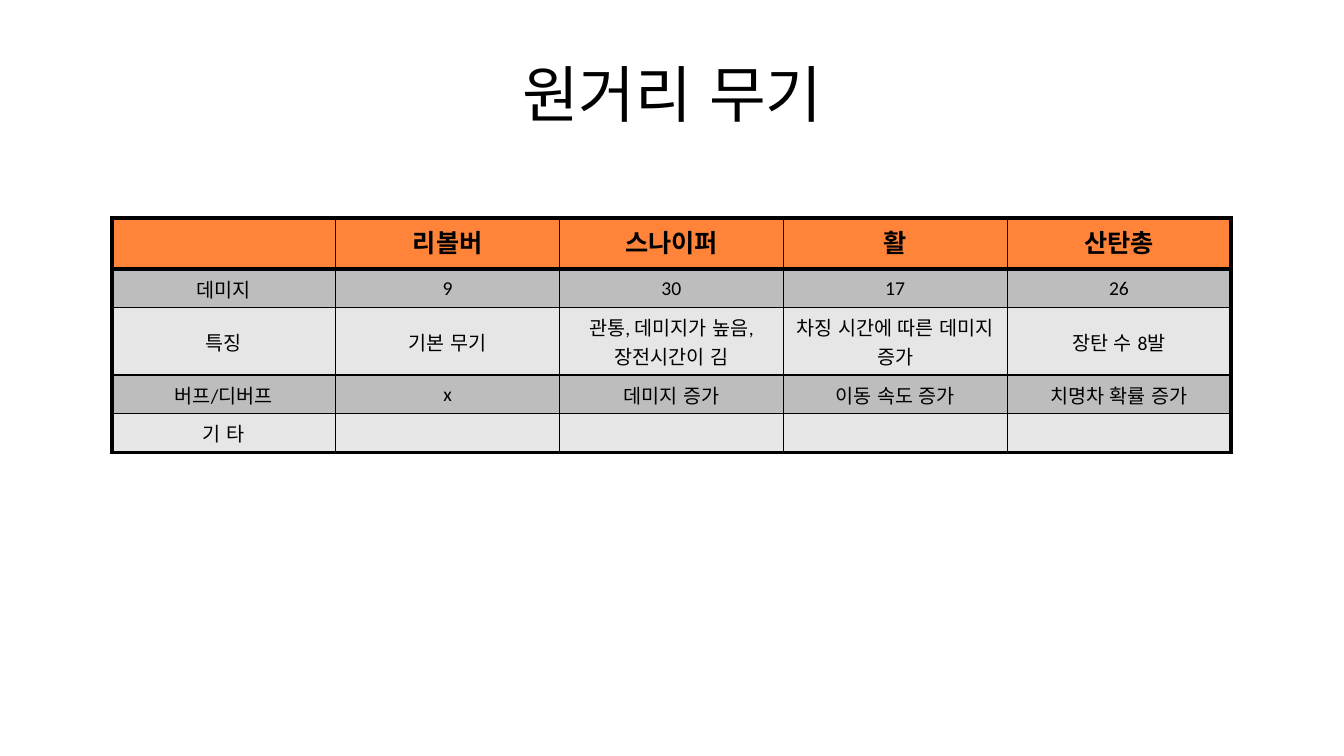
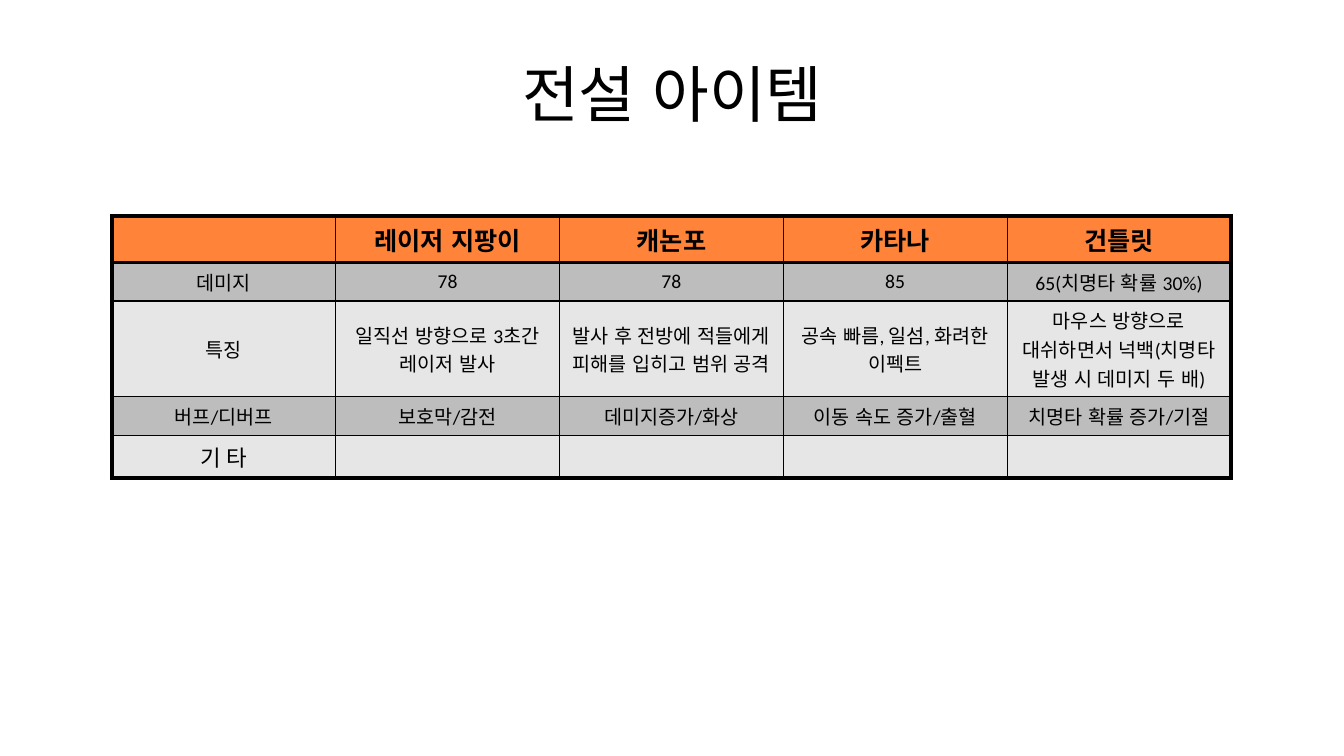
"""Build two slides with weapon and legendary item tables."""
from lxml import etree
from pptx import Presentation
from pptx.dml.color import RGBColor
from pptx.enum.lang import MSO_LANGUAGE_ID
from pptx.enum.text import MSO_ANCHOR, PP_ALIGN
from pptx.oxml.ns import qn
from pptx.util import Inches, Pt

CENTER = PP_ALIGN.CENTER
TOP, MIDDLE = MSO_ANCHOR.TOP, MSO_ANCHOR.MIDDLE
KOREAN = MSO_LANGUAGE_ID.KOREAN

COLORS = {"text": "000000", "line": "000000", "header": "FF843A",
          "dark": "BDBDBD", "light": "E6E6E6"}
FORMATS = {
    "title": {"size": Pt(44), "bold": False},
    "header": {"size": Pt(18), "bold": True},
    "body": {"size": Pt(14), "bold": False},
    "large": {"size": Pt(16), "bold": False},
}
SHARED_FORMAT = {"name": "Calibri", "language_id": KOREAN}
COLUMN_WIDTH = 2.22
COLUMN_EDGES = [3.15, 1, 1, 1, 1, 3.15]
ROW_EDGES = [3.15, 2.79, 1, 1, 1, 3.15]
ROW_FILLS = ["header", "dark", "light", "dark", "light"]

PAGES = [
    {
        "title": "원거리 무기",
        "top": 2.16,
        "heights": [0.51, 0.3, 0.54, 0.3, 0.3],
        "last_label": "body",
        "rows": [
            ["", "리볼버", "스나이퍼", "활", "산탄총"],
            ["데미지", "9", "30", "17", "26"],
            ["특징", "기본 무기", "관통, 데미지가 높음, 장전시간이 김",
             "차징 시간에 따른 데미지 증가", "장탄 수 8발"],
            ["버프/디버프", "x", "데미지 증가", "이동 속도 증가", "치명차 확률 증가"],
            ["기 타", "", "", "", ""],
        ],
    },
    {
        "title": "전설 아이템",
        "top": 2.14,
        "heights": [0.41, 0.3, 0.77, 0.3, 0.34],
        "last_label": "large",
        "rows": [
            ["", "레이저 지팡이", "캐논포", "카타나", "건틀릿"],
            ["데미지", "78", "78", "85", "65(치명타 확률 30%)"],
            ["특징", "일직선 방향으로 3초간 레이저 발사",
             "발사 후 전방에 적들에게 피해를 입히고 범위 공격",
             "공속 빠름, 일섬, 화려한 이펙트",
             "마우스 방향으로 대쉬하면서 넉백(치명타 발생 시 데미지 두 배)"],
            ["버프/디버프", "보호막/감전", "데미지증가/화상",
             "이동 속도 증가/출혈", "치명타 확률 증가/기절"],
            ["기 타", "", "", "", ""],
        ],
    },
]


def write_text(para, text, style):
    para.alignment = CENTER
    if not text:
        size = FORMATS[style]["size"].centipoints
        etree.SubElement(para._p, qn("a:endParaRPr"), sz=str(size))
        return
    span = para.add_run()
    span.text = text
    for key, value in {**SHARED_FORMAT, **FORMATS[style]}.items():
        setattr(span.font, key, value)
    span.font.color.rgb = RGBColor.from_string(COLORS["text"])


def set_borders(cell, widths):
    properties = cell._tc.get_or_add_tcPr()
    for side, width in widths.items():
        line = etree.SubElement(properties, qn(f"a:ln{side}"), w=str(Pt(width)))
        fill = etree.SubElement(line, qn("a:solidFill"))
        etree.SubElement(fill, qn("a:srgbClr"), val=COLORS["line"])


deck = Presentation()
deck.slide_width, deck.slide_height = Inches(13.33), Inches(7.5)
title_only = deck.slide_layouts[5]

for content in PAGES:
    page = deck.slides.add_slide(title_only)
    title = page.shapes.title
    title.left, title.top = Inches(0.67), Inches(0.3)
    title.width, title.height = Inches(12), Inches(1.25)
    title.text_frame.vertical_anchor = MIDDLE
    write_text(title.text_frame.paragraphs[0], content["title"], "title")

    rows, heights = content["rows"], content["heights"]
    columns = len(rows[0])
    table = page.shapes.add_table(
        len(rows), columns, Inches(1.11), Inches(content["top"]),
        Inches(COLUMN_WIDTH * columns), Inches(sum(heights))).table
    for column in table.columns:
        column.width = Inches(COLUMN_WIDTH)

    for row, texts in enumerate(rows):
        table.rows[row].height = Inches(heights[row])
        for column, text in enumerate(texts):
            cell = table.cell(row, column)
            set_borders(cell, {"L": COLUMN_EDGES[column], "R": COLUMN_EDGES[column + 1],
                               "T": ROW_EDGES[row], "B": ROW_EDGES[row + 1]})
            cell.fill.solid()
            cell.fill.fore_color.rgb = RGBColor.from_string(COLORS[ROW_FILLS[row]])
            cell.vertical_anchor = MIDDLE if row else TOP
            style = "body" if row else "header"
            if row == len(rows) - 1:
                style = content["last_label"]
            write_text(cell.text_frame.paragraphs[0], text, style)

deck.save("out.pptx")
